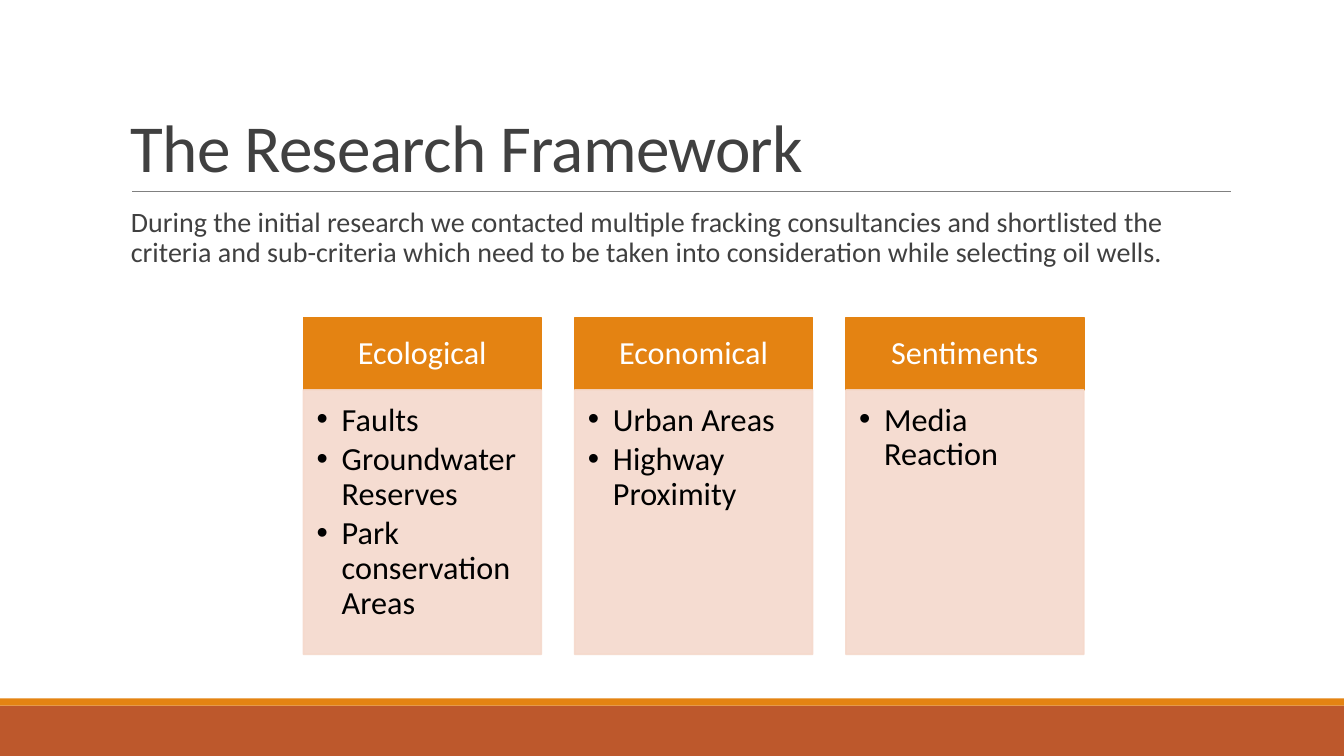
from lxml import etree
from pptx import Presentation
from pptx.dml.color import RGBColor
from pptx.enum.shapes import MSO_CONNECTOR, MSO_SHAPE
from pptx.enum.text import MSO_ANCHOR, PP_ALIGN
from pptx.oxml.ns import qn
from pptx.util import Inches, Pt

RECTANGLE, STRAIGHT = MSO_SHAPE.RECTANGLE, MSO_CONNECTOR.STRAIGHT
TOP, MIDDLE, BOTTOM = MSO_ANCHOR.TOP, MSO_ANCHOR.MIDDLE, MSO_ANCHOR.BOTTOM
LEFT, CENTER = PP_ALIGN.LEFT, PP_ALIGN.CENTER

# Content
TITLE = "The Research Framework"
INTRO = ("During the initial research we contacted multiple fracking consultancies "
         "and shortlisted the criteria and sub-criteria which need to be taken into "
         "consideration while selecting oil wells.")
CRITERIA = [
    ("Ecological", ["Faults", "Groundwater Reserves", "Park conservation Areas"]),
    ("Economical", ["Urban Areas", "Highway Proximity"]),
    ("Sentiments", ["Media Reaction"]),
]

# Look and layout, lengths in inches
FONT = "Calibri"
ORANGE, RUST, PEACH = "E48312", "BD582C", "F5D9CC"
DARK, GRAY, WHITE, BLACK = "404040", "808080", "FFFFFF", "000000"
WIDTH, HEIGHT = 13.33, 7.5
FOOTER_TOP, STRIPE_HEIGHT = 7, 0.07
TEXT_LEFT, TEXT_WIDTH, RULE_TOP = 1.2, 11, 1.9
GRID_LEFT, GRID_TOP, COLUMN_WIDTH, COLUMN_STEP = 3.01, 3.15, 2.36, 2.69
HEADER_HEIGHT, LIST_HEIGHT = 0.72, 2.62


def color(value):
    return RGBColor.from_string(value)


def set_alpha(fill_format_parent, percent):
    for rgb in fill_format_parent.iter(qn("a:srgbClr")):
        etree.SubElement(rgb, qn("a:alpha"), val=str(percent * 1000))


def add_rectangle(left, top, width, height, fill, outlined=False):
    shape = slide.shapes.add_shape(
        RECTANGLE, Inches(left), Inches(top), Inches(width), Inches(height))
    shape.shadow.inherit = False
    shape.fill.solid()
    shape.fill.fore_color.rgb = color(fill)
    if outlined:
        shape.line.color.rgb = color(fill)
        shape.line.width = Pt(1.25)
    else:
        shape.line.fill.background()
    return shape


def add_text_box(top, height):
    return slide.shapes.add_textbox(
        Inches(TEXT_LEFT), Inches(top), Inches(TEXT_WIDTH), Inches(height))


def write(shape, lines, size, ink, insets, anchor=TOP, align=LEFT,
          line_spacing=0.9, space_after=0, bulleted=False, tracking=0):
    frame = shape.text_frame
    frame.word_wrap = True
    frame.vertical_anchor = anchor
    (frame.margin_left, frame.margin_top,
     frame.margin_right, frame.margin_bottom) = map(Inches, insets)
    for index, line in enumerate(lines):
        paragraph = frame.add_paragraph() if index else frame.paragraphs[0]
        if bulleted:
            properties = paragraph._p.get_or_add_pPr()
            properties.set("marL", str(Inches(0.25)))
            properties.set("indent", str(-Inches(0.25)))
            etree.SubElement(properties, qn("a:buFont"), typeface="Arial")
            etree.SubElement(properties, qn("a:buChar"), char="•")
        paragraph.alignment = align
        paragraph.line_spacing = line_spacing
        paragraph.space_after = Pt(space_after)
        run = paragraph.add_run()
        run.text = line
        run.font.name, run.font.size = FONT, Pt(size)
        run.font.color.rgb = color(ink)
        if tracking:
            run._r.get_or_add_rPr().set("spc", str(int(tracking * 100)))


presentation = Presentation()
presentation.slide_width, presentation.slide_height = Inches(WIDTH), Inches(HEIGHT)
slide = presentation.slides.add_slide(presentation.slide_layouts[6])

# Footer bands
add_rectangle(0, FOOTER_TOP, WIDTH, HEIGHT - FOOTER_TOP, RUST)
add_rectangle(0, FOOTER_TOP - STRIPE_HEIGHT, WIDTH, STRIPE_HEIGHT, ORANGE)

# Rule under the title
rule = slide.shapes.add_connector(
    STRAIGHT, Inches(1.31), Inches(RULE_TOP), Inches(12.21), Inches(RULE_TOP))
rule.line.color.rgb = color(GRAY)
rule.line.width = Pt(0.5)
etree.SubElement(rule._element.spPr, qn("a:effectLst"))

# Title and introduction
write(add_text_box(0.31, RULE_TOP - 0.31), [TITLE], 48, DARK, (0.1, 0.05, 0.1, 0.05),
      anchor=BOTTOM, line_spacing=0.85, tracking=-0.5)
write(add_text_box(2.02, 0.8), [INTRO], 20, DARK, (0.1, 0.05, 0, 0.05), space_after=2)

# Criteria columns: a header over a list
for column, (criterion, parts) in enumerate(CRITERIA):
    left = GRID_LEFT + column * COLUMN_STEP
    header = add_rectangle(left, GRID_TOP, COLUMN_WIDTH, HEADER_HEIGHT, ORANGE, True)
    write(header, [criterion], 23, WHITE, (0.18, 0.1, 0.18, 0.1), MIDDLE, CENTER)
    panel = add_rectangle(left, GRID_TOP + HEADER_HEIGHT, COLUMN_WIDTH, LIST_HEIGHT,
                          PEACH, True)
    set_alpha(panel._element.spPr, 90)
    write(panel, parts, 23, BLACK, (0.13, 0.13, 0.18, 0.2),
          space_after=3.45, bulleted=True)

presentation.save("out.pptx")
